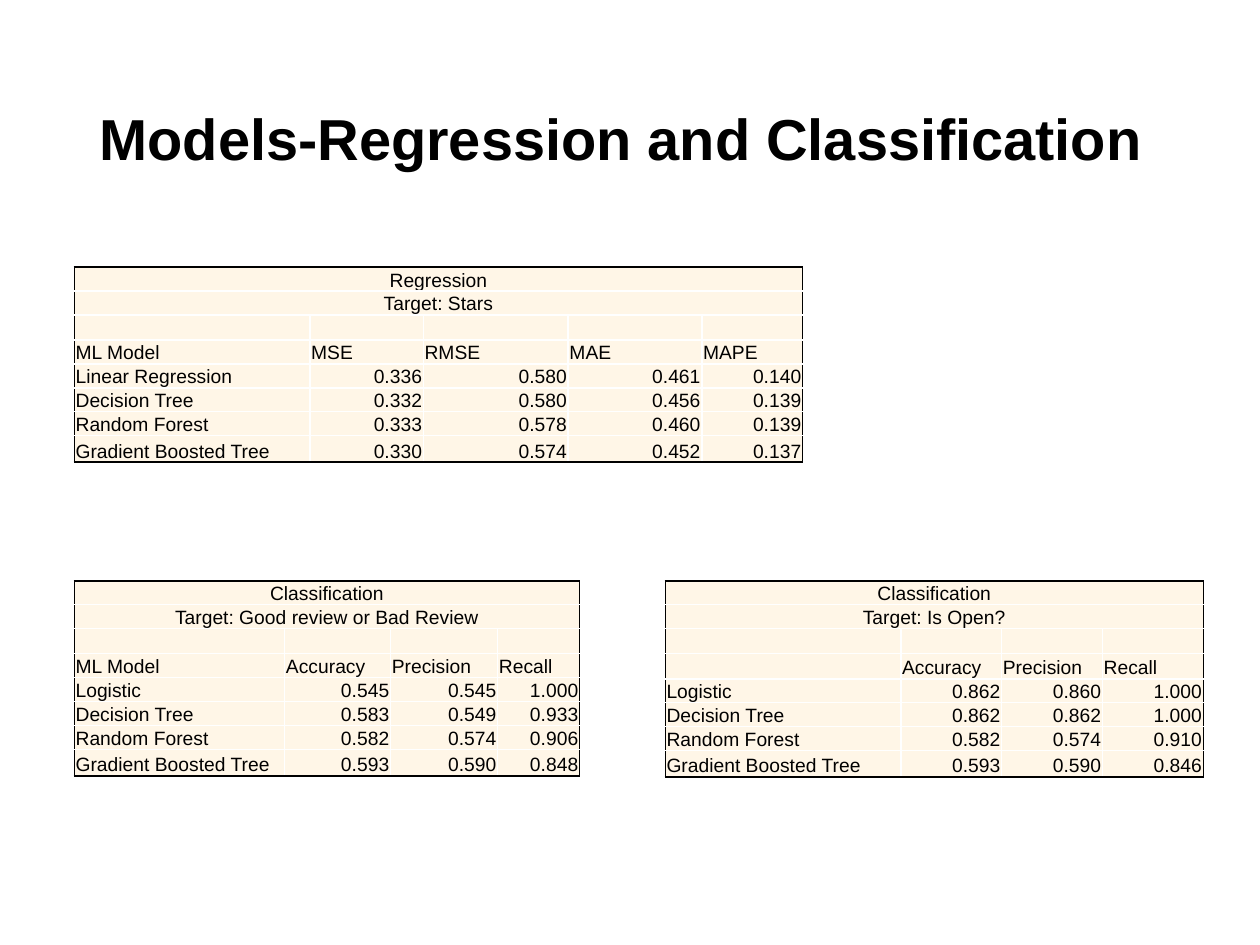
from lxml import etree
from pptx import Presentation
from pptx.dml.color import RGBColor
from pptx.enum.text import MSO_ANCHOR, MSO_AUTO_SIZE, PP_ALIGN
from pptx.oxml.ns import qn
from pptx.util import Inches, Pt

MIDDLE, BOTTOM = MSO_ANCHOR.MIDDLE, MSO_ANCHOR.BOTTOM
LEFT, CENTER, RIGHT = PP_ALIGN.LEFT, PP_ALIGN.CENTER, PP_ALIGN.RIGHT
NO_FIT = MSO_AUTO_SIZE.NONE

COLORS = {"text": "000000", "frame": "000000", "grid": "FFFFFF", "cell": "FFF6E7"}
FONT = "Arial"
CELL_PT = 11
ROW_H = 0.19
TABLE_H = 1.54
LEFT_X, RIGHT_X = 0.59, 5.28
TOP_Y, LOWER_Y = 2.12, 4.61
CLASS_HEAD = ["Accuracy", "Precision", "Recall"]

REGRESSION = [
    ["Regression"],
    ["Target: Stars"],
    [""] * 5,
    ["ML Model", "MSE", "RMSE", "MAE", "MAPE"],
    ["Linear Regression", 0.336, 0.580, 0.461, 0.140],
    ["Decision Tree", 0.332, 0.580, 0.456, 0.139],
    ["Random Forest", 0.333, 0.578, 0.460, 0.139],
    ["Gradient Boosted Tree", 0.330, 0.574, 0.452, 0.137],
]
REVIEW = [
    ["Classification"],
    ["Target: Good review or Bad Review"],
    [""] * 4,
    ["ML Model"] + CLASS_HEAD,
    ["Logistic", 0.545, 0.545, 1.0],
    ["Decision Tree", 0.583, 0.549, 0.933],
    ["Random Forest", 0.582, 0.574, 0.906],
    ["Gradient Boosted Tree", 0.593, 0.590, 0.848],
]
IS_OPEN = [
    ["Classification"],
    ["Target: Is Open?"],
    [""] * 4,
    [""] + CLASS_HEAD,
    ["Logistic", 0.862, 0.860, 1.0],
    ["Decision Tree", 0.862, 0.862, 1.0],
    ["Random Forest", 0.582, 0.574, 0.910],
    ["Gradient Boosted Tree", 0.593, 0.590, 0.846],
]


def add_run(p, text, size, bold=False):
    """Add one formatted run to a paragraph."""
    r = p.add_run()
    r.text = text
    r.font.name, r.font.size, r.font.bold = FONT, Pt(size), bold
    r.font.color.rgb = RGBColor.from_string(COLORS["text"])


def add_title(s, text, x, y, w, h):
    """Place and format the title placeholder."""
    sp = s.shapes.title
    sp.left, sp.top, sp.width, sp.height = map(Inches, (x, y, w, h))
    tf = sp.text_frame
    tf.word_wrap, tf.auto_size, tf.vertical_anchor = True, NO_FIT, MIDDLE
    p = tf.paragraphs[0]
    p.alignment, p.line_spacing = LEFT, 0.9
    add_run(p, text, 33, bold=True)


def set_borders(cell, edges):
    """Draw 1 pt cell borders; edges maps L, R, T, B to whether it is on the frame."""
    tcPr = cell._tc.get_or_add_tcPr()
    for side, outer in edges.items():
        ln = etree.SubElement(tcPr, qn(f"a:ln{side}"), w=str(Pt(1)))
        fill = etree.SubElement(ln, qn("a:solidFill"))
        color = COLORS["frame" if outer else "grid"]
        etree.SubElement(fill, qn("a:srgbClr"), val=color)


def fill_cell(cell, value, align):
    """Write a value into a cell; an empty cell keeps the small text height."""
    cell.vertical_anchor = BOTTOM
    cell.margin_left = cell.margin_right = cell.margin_top = Inches(0.01)
    cell.margin_bottom = 0
    p = cell.text_frame.paragraphs[0]
    p.alignment = align
    if value == "":
        etree.SubElement(p._p, qn("a:endParaRPr"), sz=str(CELL_PT * 100))
    else:
        add_run(p, value if isinstance(value, str) else f"{value:.3f}", CELL_PT)


def add_score_table(s, rows, x, y, widths):
    """Add a framed table; a row with a single entry spans every column."""
    n_rows, n_cols = len(rows), len(widths)
    frame = s.shapes.add_table(n_rows, n_cols, Inches(x), Inches(y),
                               Inches(sum(widths)), Inches(TABLE_H))
    table = frame.table
    table.first_row = table.horz_banding = False
    for col, width in zip(table.columns, widths):
        col.width = Inches(width)
    for i, values in enumerate(rows):
        last = i == n_rows - 1
        table.rows[i].height = Inches(TABLE_H - ROW_H * i if last else ROW_H)
        spans = len(values) == 1
        if spans:
            table.cell(i, 0).merge(table.cell(i, n_cols - 1))
        for j, value in enumerate(values + [""] * (n_cols - len(values))):
            cell = table.cell(i, j)
            set_borders(cell, {"L": j == 0, "R": spans or j == n_cols - 1,
                               "T": i == 0, "B": last})
            cell.fill.solid()
            cell.fill.fore_color.rgb = RGBColor.from_string(COLORS["cell"])
            align = CENTER if spans else LEFT if isinstance(value, str) else RIGHT
            fill_cell(cell, value, align)


def build_slide(prs):
    """Build the slide: a title above one regression and two classification tables."""
    s = prs.slides.add_slide(prs.slide_layouts[5])
    add_title(s, "Models-Regression and Classification", 0.69, 0.4, 8.62, 1.45)
    add_score_table(s, REGRESSION, LEFT_X, TOP_Y, [1.87, 0.9, 1.15, 1.06, 0.8])
    add_score_table(s, REVIEW, LEFT_X, LOWER_Y, [1.67, 0.84, 0.85, 0.65])
    add_score_table(s, IS_OPEN, RIGHT_X, LOWER_Y, [1.87, 0.8, 0.8, 0.8])


prs = Presentation()
prs.slide_width, prs.slide_height = Inches(10), Inches(7.5)
build_slide(prs)
prs.save("out.pptx")
